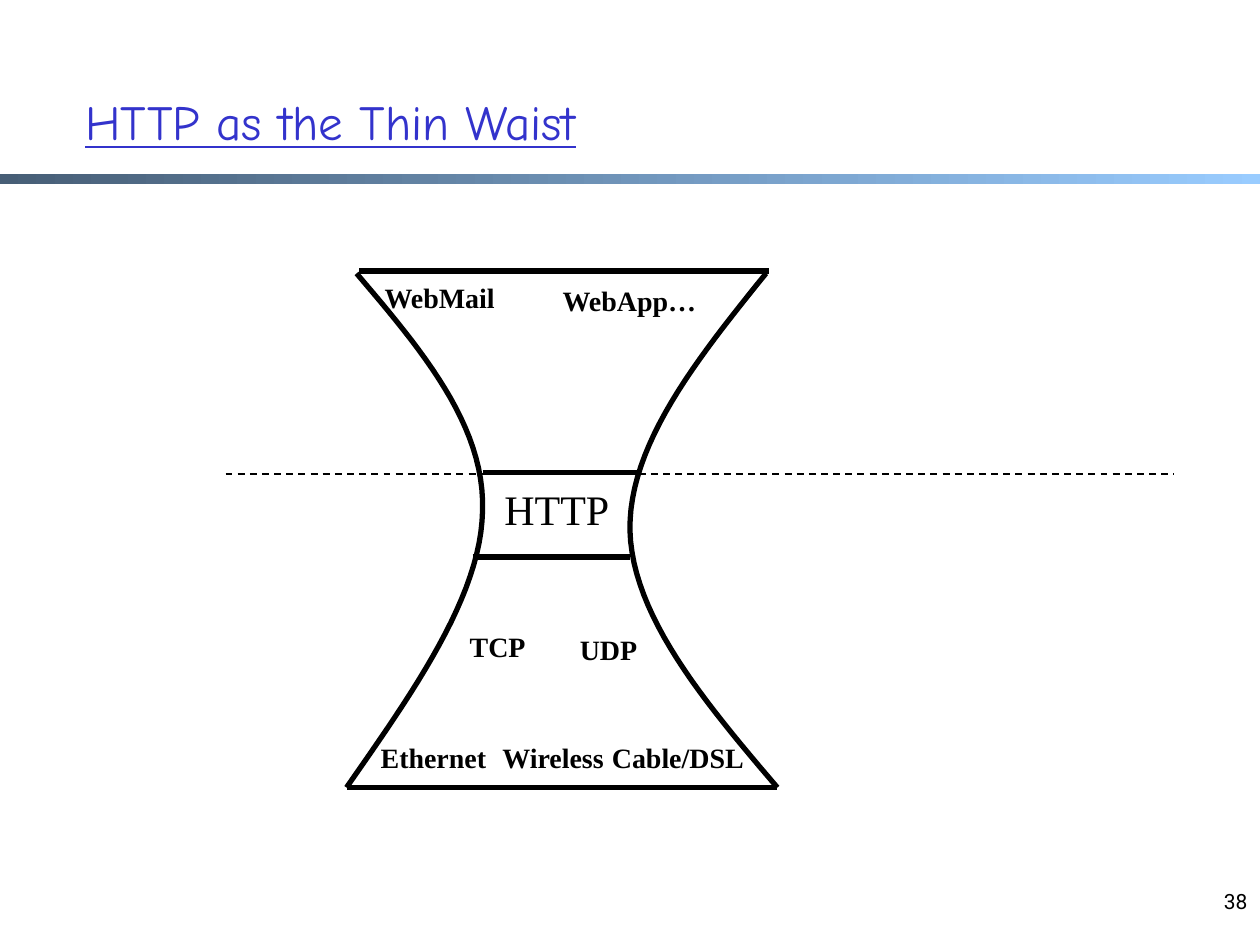
from pptx import Presentation, util as u
from pptx.dml.color import RGBColor
from pptx.enum import dml, shapes as sh, text as tx
from pptx.oxml import parse_xml
from pptx.oxml.ns import nsdecls

WIDE, HIGH = 10, 7.5
INK = "000000"
SERIF = "Times New Roman"
MID, LEFT, RIGHT = tx.PP_ALIGN.CENTER, tx.PP_ALIGN.LEFT, tx.PP_ALIGN.RIGHT

TITLE = "HTTP as the Thin Waist"
PAGE = "38"
WORDS = [
    ("Ethernet", 2.92, 5.83, 1.04),
    ("Cable/DSL", 4.75, 5.83, 1.26),
    ("Wireless", 3.88, 5.83, 1.02),
    ("TCP", 3.63, 4.95, 0.64),
    ("UDP", 4.5, 4.97, 0.66),
    ("WebMail", 2.94, 2.18, 1.1),
    ("WebApp…", 4.35, 2.2, 1.29),
]
BARS = [(3.83, 5.08, 3.75), (3.75, 5, 4.42), (2.75, 6.17, 6.25), (2.85, 6.1, 2.15)]
SIDES = [
    [(2.83, 2.17), (3.34, 2.77), (3.85, 3.37), (3.83, 4.05),
     (3.82, 4.73), (3.28, 5.49), (2.75, 6.25)],
    [(6.08, 2.17), (5.53, 2.85), (4.99, 3.53), (5, 4.21),
     (5.02, 4.89), (5.59, 5.57), (6.17, 6.25)],
]
STEPS = 24

deck = Presentation()
deck.slide_width, deck.slide_height = u.Inches(WIDE), u.Inches(HIGH)
page = deck.slides.add_slide(deck.slide_layouts[6])
parts = page.shapes


def tint(code):
    return RGBColor.from_string(code)


def pen(line, size):
    line.color.rgb = tint(INK)
    line.width = u.Pt(size)


def label(words, x, y, w, h, size, font=SERIF, color=INK, align=MID,
          bold=False, under=False, wrap=False, anchor=tx.MSO_ANCHOR.TOP):
    box = parts.add_textbox(*map(u.Inches, (x, y, w, h)))
    frame = box.text_frame
    frame.text = words
    frame.word_wrap = wrap
    frame.vertical_anchor = anchor
    para = frame.paragraphs[0]
    para.alignment = align
    face = para.runs[0].font
    face.name, face.size, face.bold, face.underline = font, u.Pt(size), bold, under
    face.color.rgb = tint(color)


def rule(x1, x2, y, size):
    line = parts.add_connector(sh.MSO_CONNECTOR.STRAIGHT,
                               *map(u.Inches, (x1, y, x2, y)))
    pen(line.line, size)
    line._element.spPr.append(parse_xml("<a:effectLst %s/>" % nsdecls("a")))
    return line


def bend(knots, t):
    s = 1 - t
    mix = (s ** 3, 3 * s * s * t, 3 * s * t * t, t ** 3)
    return tuple(u.Inches(sum(m * k[i] for m, k in zip(mix, knots)))
                 for i in (0, 1))


def curve(knots):
    dots = [bend(knots[i:i + 4], n / STEPS)
            for i in (0, 3) for n in range(1, STEPS + 1)]
    form = parts.build_freeform(*bend(knots[:4], 0))
    form.add_line_segments(dots, close=False)
    side = form.convert_to_shape()
    side.fill.background()
    side.shadow.inherit = False
    pen(side.line, 3)


band = parts.add_shape(sh.MSO_SHAPE.RECTANGLE,
                       *map(u.Inches, (0, 1.38, WIDE, 0.08)))
band.shadow.inherit = False
band.line.fill.background()
band.fill.gradient()
band.fill.gradient_angle = 0
for stop, place, code in zip(band.fill.gradient_stops, (0, 1), ("475E76", "99CCFF")):
    stop.position = place
    stop.color.rgb = tint(code)

label(PAGE, 7.67, 7, 2.33, 0.5, 12, "Roboto", align=RIGHT, wrap=True)
label(TITLE, 0.58, 0.42, 8.5, 1.08, 28, "Comic Neue", "3333CC", LEFT,
      under=True, wrap=True, anchor=tx.MSO_ANCHOR.MIDDLE)

rule(1.79, 9.32, 3.76, 1).line.dash_style = dml.MSO_LINE.DASH
for side in SIDES:
    curve(side)
for x1, x2, y in BARS:
    rule(x1, x2, y, 3)
label("HTTP", 3.9, 3.79, 1.04, 0.5, 24)
for word, x, y, w in WORDS:
    label(word, x, y, w, 0.37, 16, bold=True)

deck.save("out.pptx")
